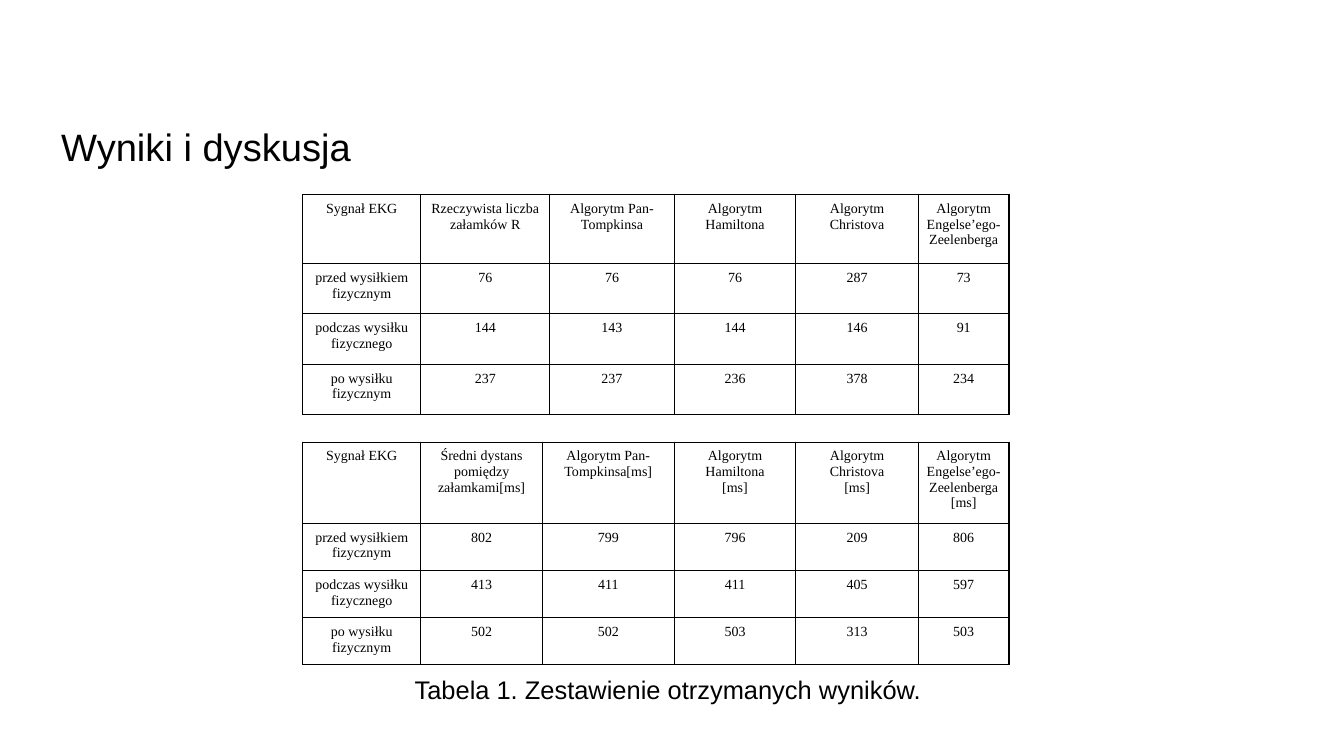
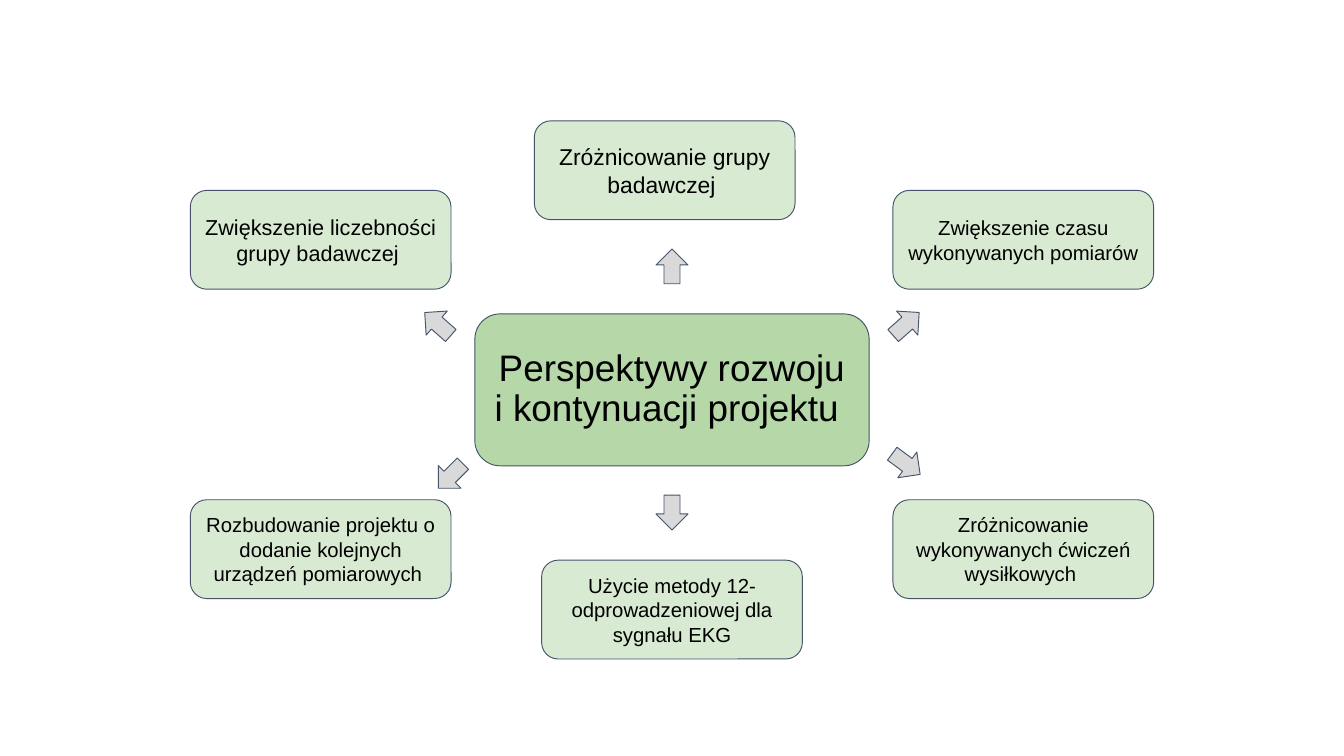
from lxml import etree
from pptx import Presentation
from pptx.dml.color import RGBColor
from pptx.enum.shapes import MSO_SHAPE
from pptx.enum.text import MSO_ANCHOR, PP_ALIGN
from pptx.oxml.ns import qn
from pptx.util import Inches, Pt

LEFT, MID = PP_ALIGN.LEFT, PP_ALIGN.CENTER
TOP, CORE = MSO_ANCHOR.TOP, MSO_ANCHOR.MIDDLE
ROUND, ARROW = MSO_SHAPE.ROUNDED_RECTANGLE, MSO_SHAPE.UP_ARROW
COLORS = {
    "ink": "000000",
    "edge": "44546A",
    "core": "B6D7A8",
    "leaf": "D9EAD3",
    "arrow": "D9D9D9",
}
SANS, SERIF = "Arial", "Times New Roman"


def color(name):
    return RGBColor.from_string(COLORS[name])


def write(frame, text, size=16, font=SANS, align=MID, anchor=TOP, space=None, pad=0.1, edge=None):
    frame.word_wrap = True
    frame.vertical_anchor = anchor
    frame.margin_left = frame.margin_right = Inches(pad)
    frame.margin_top = frame.margin_bottom = Inches(pad if edge is None else edge)
    for i, line in enumerate(text.split("\n")):
        par = frame.add_paragraph() if i else frame.paragraphs[0]
        par.alignment = align
        if space:
            par.line_spacing = space
        run = par.add_run()
        run.text = line
        run.font.name, run.font.size = font, Pt(size)
        run.font.color.rgb = color("ink")


class Deck:
    def __init__(self, wide, high):
        self.file = Presentation()
        self.file.slide_width, self.file.slide_height = Inches(wide), Inches(high)
        self.slide = None

    def page(self):
        self.slide = self.file.slides.add_slide(self.file.slide_layouts[6])

    def label(self, text, box, **style):
        item = self.slide.shapes.add_textbox(*map(Inches, box))
        write(item.text_frame, text, **style)

    def shape(self, kind, box, fill, turn=0):
        item = self.slide.shapes.add_shape(kind, *map(Inches, box))
        item.shadow.inherit = False
        item.fill.solid()
        item.fill.fore_color.rgb = color(fill)
        item.line.color.rgb = color("edge")
        item.line.width = Pt(0.75)
        item.rotation = turn
        return item

    def card(self, text, box, fill="leaf", **style):
        item = self.shape(ROUND, box, fill)
        write(item.text_frame, text, anchor=CORE, **style)

    def arrow(self, left, top, turn):
        self.shape(ARROW, (left, top, 0.35, 0.38), "arrow", turn)

    def border(self, cell):
        props = cell._tc.get_or_add_tcPr()
        for i, side in enumerate(("lnL", "lnR", "lnT", "lnB")):
            line = etree.Element(qn(f"a:{side}"), w=str(Pt(1)))
            fill = etree.SubElement(line, qn("a:solidFill"))
            etree.SubElement(fill, qn("a:srgbClr"), val=COLORS["ink"])
            props.insert(i, line)

    def table(self, left, top, widths, heights, rows):
        size = left, top, sum(widths), sum(heights)
        grid = self.slide.shapes.add_table(len(rows), len(widths), *map(Inches, size)).table
        grid.first_row = grid.horz_banding = False
        for col, width in zip(grid.columns, widths):
            col.width = Inches(width)
        for row, height, texts in zip(grid.rows, heights, rows):
            row.height = Inches(height)
            for cell, text in zip(row.cells, texts):
                cell.fill.background()
                self.border(cell)
                write(cell.text_frame, str(text), size=11, font=SERIF)
                cell.margin_left = cell.margin_right = Inches(0.07)
                cell.margin_top = cell.margin_bottom = Inches(0.07)


def results(deck):
    deck.page()
    deck.label("Wyniki i dyskusja", (0.57, 1.3, 4.88, 0.61), size=30, align=LEFT, edge=0.05)
    states = ["przed wysiłkiem fizycznym", "podczas wysiłku fizycznego", "po wysiłku fizycznym"]
    tables = [
        (2.13, [1.29, 1.41, 1.36, 1.33, 1.34, 0.99], 0.75, 0.55,
         ["Rzeczywista liczba załamków R", "Algorytm Pan-Tompkinsa", "Algorytm Hamiltona",
          "Algorytm Christova", "Algorytm Engelse’ego-Zeelenberga"],
         [[76, 76, 76, 287, 73], [144, 143, 144, 146, 91], [237, 237, 236, 378, 234]]),
        (4.83, [1.29, 1.33, 1.44, 1.33, 1.34, 0.99], 0.89, 0.515,
         ["Średni dystans pomiędzy załamkami[ms]", "Algorytm Pan-Tompkinsa[ms]",
          "Algorytm Hamiltona\n[ms]", "Algorytm Christova\n[ms]",
          "Algorytm Engelse’ego-Zeelenberga\n[ms]"],
         [[802, 799, 796, 209, 806], [413, 411, 411, 405, 597], [502, 502, 503, 313, 503]]),
    ]
    for top, widths, head, high, names, values in tables:
        rows = [["Sygnał EKG"] + names]
        rows += [[state] + line for state, line in zip(states, values)]
        deck.table(3.31, top, widths, [head] + [high] * len(states), rows)
    deck.label("Tabela 1. Zestawienie otrzymanych wyników. ", (3.39, 7.27, 7.9, 0.54), size=20)


def outlook(deck):
    deck.page()
    deck.card("Perspektywy rozwoju i kontynuacji projektu ", (5.19, 3.43, 4.31, 1.66),
              "core", size=29, space=0.9)
    west, east, north, south = 2.08, 9.76, 2.08, 5.46
    cards = [
        ("Zwiększenie liczebności grupy badawczej ", west, north, 17),
        ("Zróżnicowanie grupy badawczej ", 5.84, 1.32, 18),
        ("Zwiększenie czasu wykonywanych pomiarów", east, north, 16),
        ("Rozbudowanie projektu o dodanie kolejnych urządzeń pomiarowych ", west, south, 16),
        ("Użycie metody 12-odprowadzeniowej dla sygnału EKG", 5.92, 6.12, 16),
        ("Zróżnicowanie wykonywanych ćwiczeń wysiłkowych ", east, south, 16),
    ]
    for text, left, top, size in cards:
        deck.card(text, (left, top, 2.85, 1.08), size=size)
    arrows = [
        (7.17, 2.72, 0), (9.73, 3.35, 48.4), (9.73, 4.88, 126.5),
        (4.61, 3.35, 311.3), (4.75, 5.01, 225), (7.17, 5.41, 180),
    ]
    for place in arrows:
        deck.arrow(*place)


def main():
    deck = Deck(14.69, 8.26)
    results(deck)
    outlook(deck)
    deck.file.save("out.pptx")


if __name__ == "__main__":
    main()
